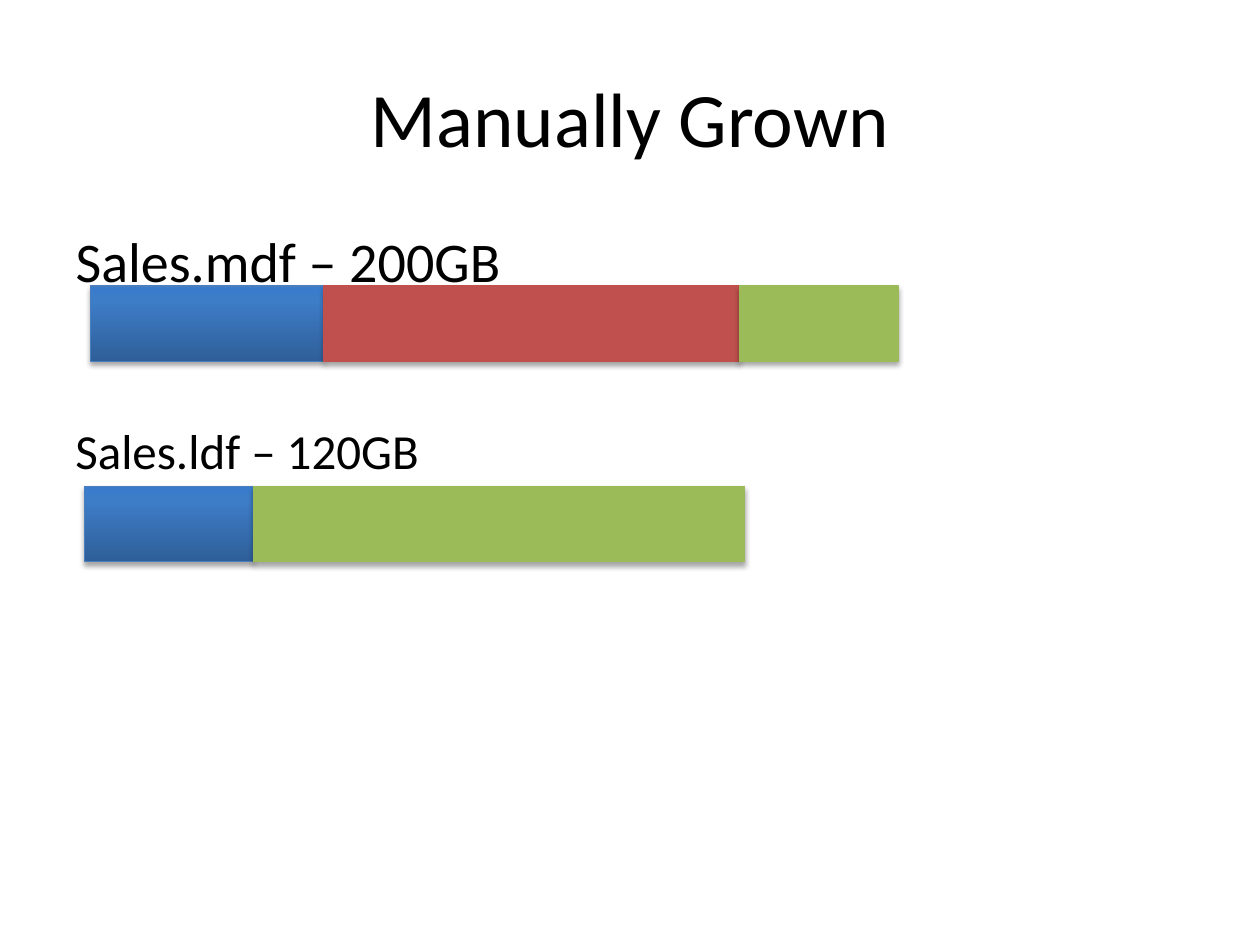
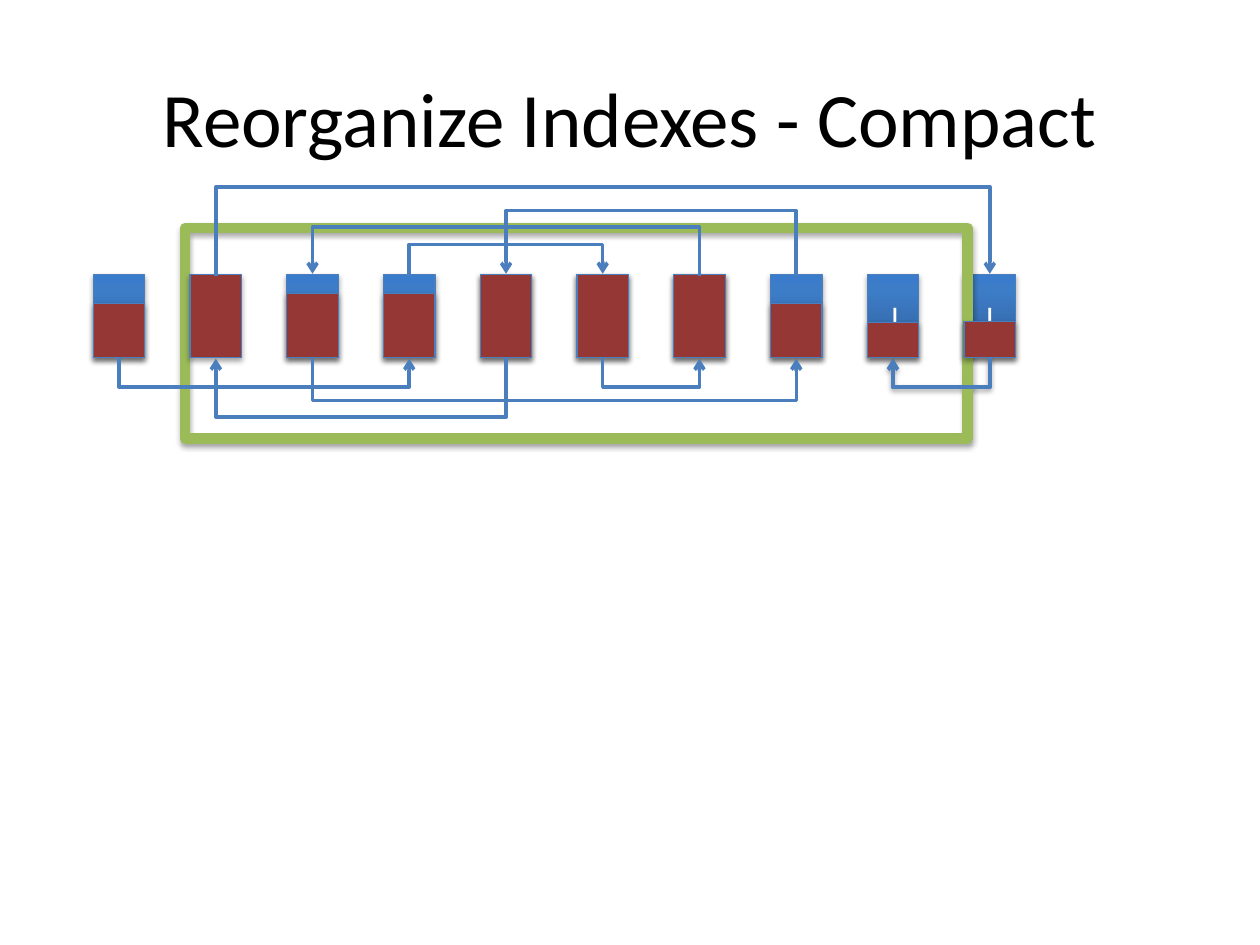
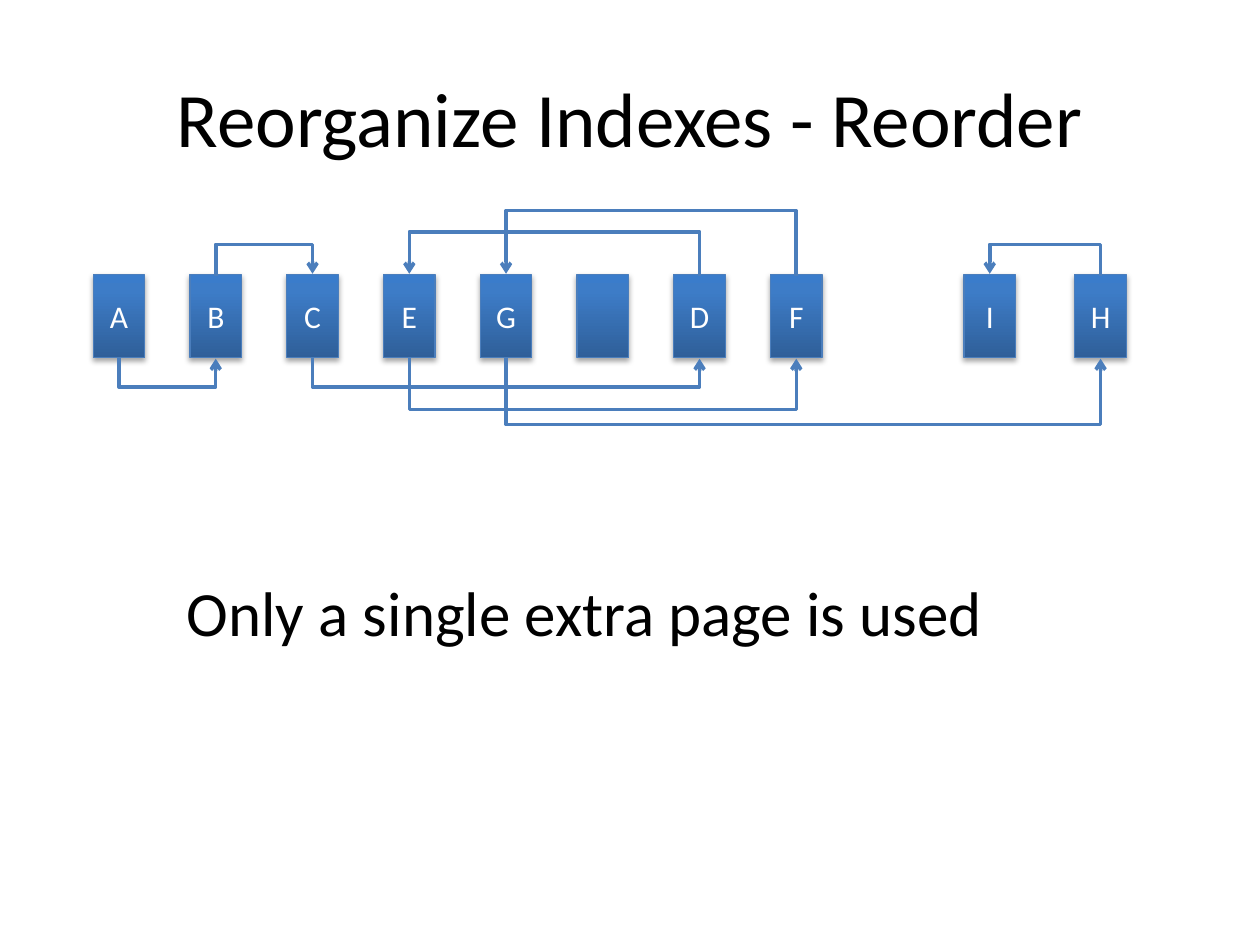
import copy

import pptx
import pptx.dml.color
import pptx.enum.dml
import pptx.enum.shapes
import pptx.enum.text
import pptx.oxml.ns
import pptx.util
from lxml import etree

Inches, Pt = pptx.util.Inches, pptx.util.Pt
qn = pptx.oxml.ns.qn
ALIGN = pptx.enum.text.PP_ALIGN
ANCHOR = pptx.enum.text.MSO_ANCHOR

FONT = "Calibri"
COLORS = {
    "black": "000000", "white": "FFFFFF", "edge": "4B7EBC", "link": "4F81BD",
    "red": "C0504D", "green": "9BBB59", "maroon": "953735",
}
BLUES = [(0, "2F5F99"), (0.8, "3D7CC7"), (1, "3A7CCB")]

# Row of index pages
PAGE_W, PAGE_H = 0.41, 0.66
TOP, BASE = 2.18, 2.84
PAGE_X = [0.74 + col * 6.91 / 9 for col in range(10)]


def rgb(name):
    return pptx.dml.color.RGBColor.from_string(COLORS.get(name, name))


def write(frame, text, size=18, color="black", align=ALIGN.LEFT, anchor=ANCHOR.TOP):
    frame.word_wrap = True
    frame.vertical_anchor = anchor
    para = frame.paragraphs[0]
    para.alignment = align
    run = para.add_run()
    run.text = text
    run.font.name, run.font.size = FONT, Pt(size)
    run.font.color.rgb = rgb(color)
    return para


def shade(effects, alpha, dist):
    """Put a soft shadow straight below into an effect list."""
    outer = etree.SubElement(effects, qn("a:outerShdw"), blurRad=str(Pt(3.1)),
                             dist=str(Pt(dist)), dir="5400000", rotWithShape="0")
    black = etree.SubElement(outer, qn("a:srgbClr"), val=COLORS["black"])
    etree.SubElement(black, qn("a:alpha"), val=str(alpha * 1000))


class Deck:
    def __init__(self):
        self.prs = pptx.Presentation()
        self.prs.slide_width, self.prs.slide_height = Inches(10), Inches(7.5)
        self.slide = None

    def start(self, title, layout=5):
        self.slide = self.prs.slides.add_slide(self.prs.slide_layouts[layout])
        head = self.slide.shapes.title
        self.place(head, 0.5, 0.3, 9, 1.25)
        write(head.text_frame, title, size=44, align=ALIGN.CENTER, anchor=ANCHOR.MIDDLE)

    def place(self, shape, x, y, w, h):
        shape.left, shape.top = Inches(x), Inches(y)
        shape.width, shape.height = Inches(w), Inches(h)

    def body(self, text, x, y, w, h):
        shape = self.slide.placeholders[1]
        self.place(shape, x, y, w, h)
        props = write(shape.text_frame, text, size=32)._p.get_or_add_pPr()
        props.set("marL", str(Inches(0.38)))
        props.set("indent", str(-Inches(0.38)))
        etree.SubElement(props, qn("a:buNone"))

    def label(self, text, x, y, w, h, **style):
        box = self.slide.shapes.add_textbox(*map(Inches, (x, y, w, h)))
        write(box.text_frame, text, **style)
        box.text_frame.auto_size = pptx.enum.text.MSO_AUTO_SIZE.SHAPE_TO_FIT_TEXT

    def rect(self, x, y, w, h, fill="blue", line="edge", weight=0.75, text=""):
        kind = pptx.enum.shapes.MSO_SHAPE.RECTANGLE
        shape = self.slide.shapes.add_shape(kind, *map(Inches, (x, y, w, h)))
        if fill == "blue":
            self.blend(shape)
        elif fill:
            shape.fill.solid()
            shape.fill.fore_color.rgb = rgb(fill)
        else:
            shape.fill.background()
        shape.line.color.rgb = rgb(line)
        shape.line.width = Pt(weight)
        shape.shadow.inherit = False
        shade(shape._element.spPr.find(qn("a:effectLst")), 35, 1.8)
        if text:
            write(shape.text_frame, text, color="white",
                  align=ALIGN.CENTER, anchor=ANCHOR.MIDDLE)

    def blend(self, shape):
        """Fill with the three-stop blue, darkest at the foot."""
        shape.fill.gradient()
        shape.fill.gradient_angle = 90
        stops = next(shape._element.spPr.iter(qn("a:gsLst")))
        stops.insert(1, copy.deepcopy(stops[0]))
        for stop, (pos, color) in zip(shape.fill.gradient_stops, BLUES):
            stop.position = pos
            stop.color.rgb = rgb(color)

    def page(self, x, text=""):
        self.rect(x, TOP, PAGE_W, PAGE_H, text=text)

    def link(self, x1, x2, y, color="edge", shadow=False):
        """Draw a U-shaped arrow from page x1 to page x2, turning at height y."""
        right, up = x2 > x1, y < TOP
        edge = TOP if up else BASE
        span, thin = Inches(abs(x2 - x1)), Pt(1)
        mid = Inches((x1 + x2 + PAGE_W) / 2)
        kind = pptx.enum.shapes.MSO_CONNECTOR.ELBOW
        line = self.slide.shapes.add_connector(kind, 0, 0, thin, span)
        line.left = mid - thin // 2
        line.top = Inches(edge) - span // 2
        line.line.color.rgb = rgb(color)
        line.line.width = Pt(2)
        props = line._element.spPr
        form = props.find(qn("a:xfrm"))
        form.set("rot", str((90 if right == up else 270) * 60000))
        form.set("flipH", str(int(right)))
        form.set("flipV", str(int(up)))
        bend = round(Inches(abs(y - edge)) / thin * 100000)
        etree.SubElement(next(props.iter(qn("a:avLst"))), qn("a:gd"),
                         name="adj1", fmla=f"val {bend}")
        etree.SubElement(props.find(qn("a:ln")), qn("a:tailEnd"), type="arrow")
        effects = etree.SubElement(props, qn("a:effectLst"))
        if shadow:
            shade(effects, 38, 1.6)


def grown(deck):
    deck.start("Manually Grown", layout=1)
    deck.body("Sales.mdf – 200GB", 0.5, 1.75, 8.28, 1.08)
    deck.label("Sales.ldf – 120GB", 0.5, 3.29, 9, 0.57, size=28)
    bars = [
        (0.72, 2.27, [("blue", 1.85), ("red", 3.3), ("green", 1.26)]),
        (0.67, 3.86, [("blue", 1.34), ("green", 3.9)]),
    ]
    for x, y, parts in bars:
        for fill, width in parts:
            deck.rect(x, y, width, 0.6, fill=fill, line="edge" if fill == "blue" else fill)
            x += width


def compact(deck):
    deck.start("Reorganize Indexes - Compact")
    for col, x in enumerate(PAGE_X):
        if col != 1:
            deck.page(x, {8: "J", 9: "I"}.get(col, ""))
    deck.link(PAGE_X[9], PAGE_X[8], 3.08, color="link", shadow=True)
    deck.rect(1.47, 1.81, 6.21, 1.67, fill=None, line="green", weight=6)
    levels = [2.41, 2.18, 2.33, 2.33, 2.18, 2.18, 2.18, 2.41, 2.56, 2.55]
    for x, level in zip(PAGE_X, levels):
        deck.rect(x, level, PAGE_W, BASE - level, fill="maroon")
    links = [(0, 3, 3.08), (3, 5, 1.93), (5, 6, 3.08), (6, 2, 1.79), (2, 7, 3.19),
             (7, 4, 1.66), (4, 1, 3.32), (1, 9, 1.47), (9, 8, 3.08)]
    for start, end, y in links:
        deck.link(PAGE_X[start], PAGE_X[end], y)


def reorder(deck):
    deck.start("Reorganize Indexes - Reorder")
    spots = dict(zip("ABCEG DF", PAGE_X), I=PAGE_X[9], H=8.53)
    for name, x in spots.items():
        deck.page(x, name.strip())
    deck.label("Only a single extra page is used", 0.74, 4.5, 7.8, 0.71,
               size=36, align=ALIGN.CENTER)
    links = [("AB", 3.08), ("EF", 3.26), ("HI", 1.93), ("DE", 1.83),
             ("CD", 3.08), ("FG", 1.66), ("GH", 3.38), ("BC", 1.93)]
    for (start, end), y in links:
        deck.link(spots[start], spots[end], y)


def main():
    deck = Deck()
    for build in (grown, compact, reorder):
        build(deck)
    deck.prs.save("out.pptx")


if __name__ == "__main__":
    main()
